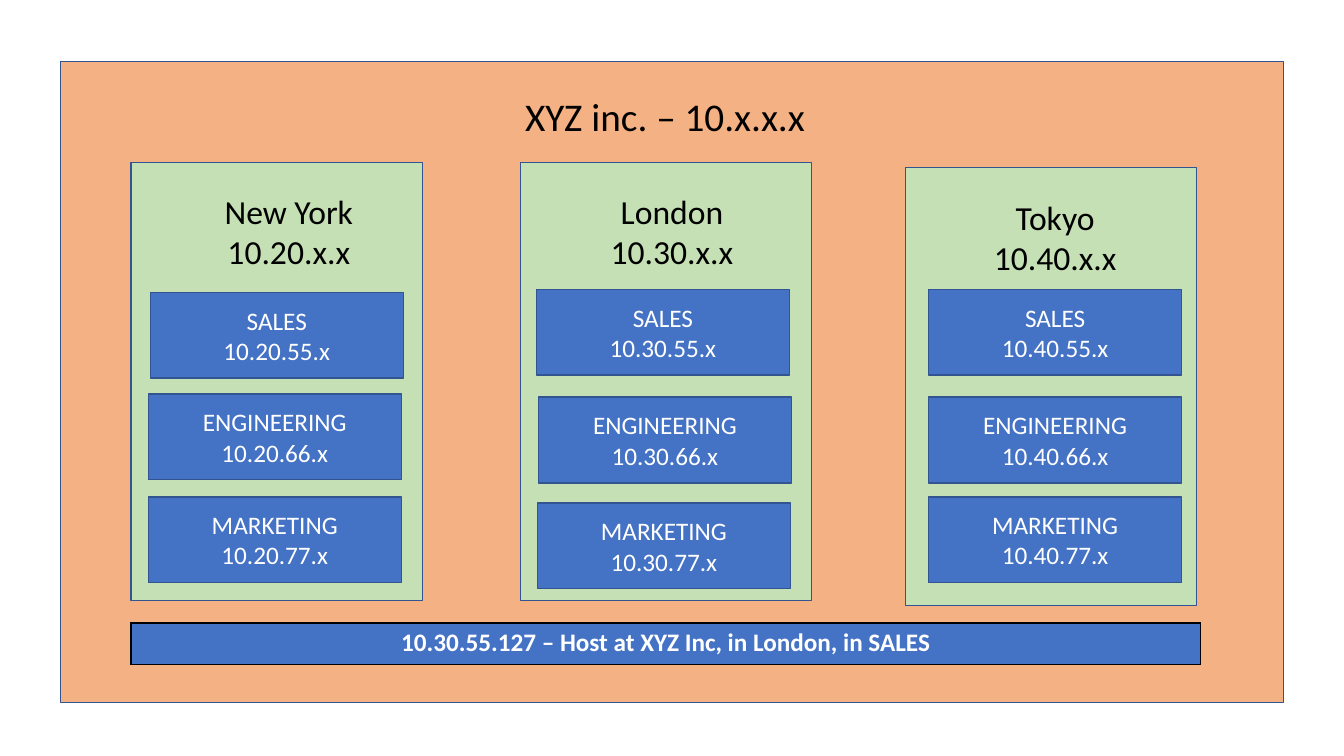
"""Build a slide showing how a company's IP addresses split by office and department."""
import pptx
import pptx.util
import pptx.dml.color
import pptx.enum.shapes
import pptx.enum.text
import pptx.oxml
import pptx.oxml.ns
from lxml import etree

Inches = pptx.util.Inches
Pt = pptx.util.Pt
RGBColor = pptx.dml.color.RGBColor

ORANGE = RGBColor(0xF4, 0xB1, 0x83)
GREEN = RGBColor(0xC5, 0xE0, 0xB4)
BLUE = RGBColor(0x44, 0x72, 0xC4)
OUTLINE = RGBColor(0x32, 0x54, 0x91)
BLACK = RGBColor(0, 0, 0)
WHITE = RGBColor(0xFF, 0xFF, 0xFF)
FONT = "Calibri"

TITLE = "XYZ inc. – 10.x.x.x"
HOST = "10.30.55.127 – Host at XYZ Inc, in London, in SALES"
DEPARTMENTS = [("SALES", 55), ("ENGINEERING", 66), ("MARKETING", 77)]
OFFICES = [
    {"name": "New York", "network": 20, "panel": (1.3, 1.61), "label": (1.8, 1.84),
     "boxes": [(1.49, 2.9), (1.47, 3.91), (1.47, 4.93)]},
    {"name": "London", "network": 30, "panel": (5.16, 1.61), "label": (5.6, 1.84),
     "boxes": [(5.32, 2.87), (5.34, 3.94), (5.33, 4.99)]},
    {"name": "Tokyo", "network": 40, "panel": (8.98, 1.66), "label": (9.4, 1.9),
     "boxes": [(9.21, 2.87), (9.21, 3.94), (9.21, 4.93)]},
]
COMPANY_AREA = (0.6, 0.61, 12.13, 6.36)
TITLE_AREA = (1.29, 0.87, 10.61, 0.57)
HOST_AREA = (1.3, 6.18, 10.61, 0.41)
PANEL_SIZE = (2.89, 4.35)
LABEL_SIZE = (2.13, 0.91)
BOX_SIZE = (2.51, 0.85)


def write_text(text_frame, text, size, color, bold=False):
    text_frame.text = text
    for paragraph in text_frame.paragraphs:
        paragraph.alignment = pptx.enum.text.PP_ALIGN.CENTER
        for run in paragraph.runs:
            run.font.name = FONT
            run.font.size = Pt(size)
            run.font.bold = bold
            run.font.color.rgb = color


def add_box(slide, area, fill):
    shape = slide.shapes.add_shape(
        pptx.enum.shapes.MSO_SHAPE.RECTANGLE, *map(Inches, area))
    shape.shadow.inherit = False
    shape.fill.solid()
    shape.fill.fore_color.rgb = fill
    shape.line.color.rgb = OUTLINE
    shape.line.width = Pt(1)
    return shape


def add_label(slide, area, text, size):
    text_frame = slide.shapes.add_textbox(*map(Inches, area)).text_frame
    text_frame.word_wrap = True
    text_frame.auto_size = pptx.enum.text.MSO_AUTO_SIZE.SHAPE_TO_FIT_TEXT
    write_text(text_frame, text, size, BLACK)


def add_host_bar(slide):
    table = slide.shapes.add_table(1, 1, *map(Inches, HOST_AREA)).table
    cell = table.cell(0, 0)
    write_text(cell.text_frame, HOST, 18, WHITE, bold=True)
    properties = cell._tc.get_or_add_tcPr()
    for side in ("a:lnL", "a:lnR", "a:lnT", "a:lnB"):
        border = etree.SubElement(properties, pptx.oxml.ns.qn(side), w=str(Pt(1)))
        border_fill = etree.SubElement(border, pptx.oxml.ns.qn("a:solidFill"))
        etree.SubElement(border_fill, pptx.oxml.ns.qn("a:srgbClr"), val=str(BLACK))
    cell.fill.solid()
    cell.fill.fore_color.rgb = BLUE


def main():
    presentation = pptx.Presentation()
    presentation.slide_width = Inches(13.33)
    presentation.slide_height = Inches(7.5)
    slide = presentation.slides.add_slide(presentation.slide_layouts[6])

    add_box(slide, COMPANY_AREA, ORANGE)
    for office in OFFICES:
        add_box(slide, office["panel"] + PANEL_SIZE, GREEN)
        for (department, subnet), position in zip(DEPARTMENTS, office["boxes"]):
            box = add_box(slide, position + BOX_SIZE, BLUE)
            box.text_frame.vertical_anchor = pptx.enum.text.MSO_ANCHOR.MIDDLE
            write_text(box.text_frame,
                       f"{department}\n10.{office['network']}.{subnet}.x", 18, WHITE)
    add_host_bar(slide)
    add_label(slide, TITLE_AREA, TITLE, 28)
    for office in OFFICES:
        add_label(slide, office["label"] + LABEL_SIZE,
                  f"{office['name']}\n10.{office['network']}.x.x", 24)

    presentation.save("out.pptx")


if __name__ == "__main__":
    main()
